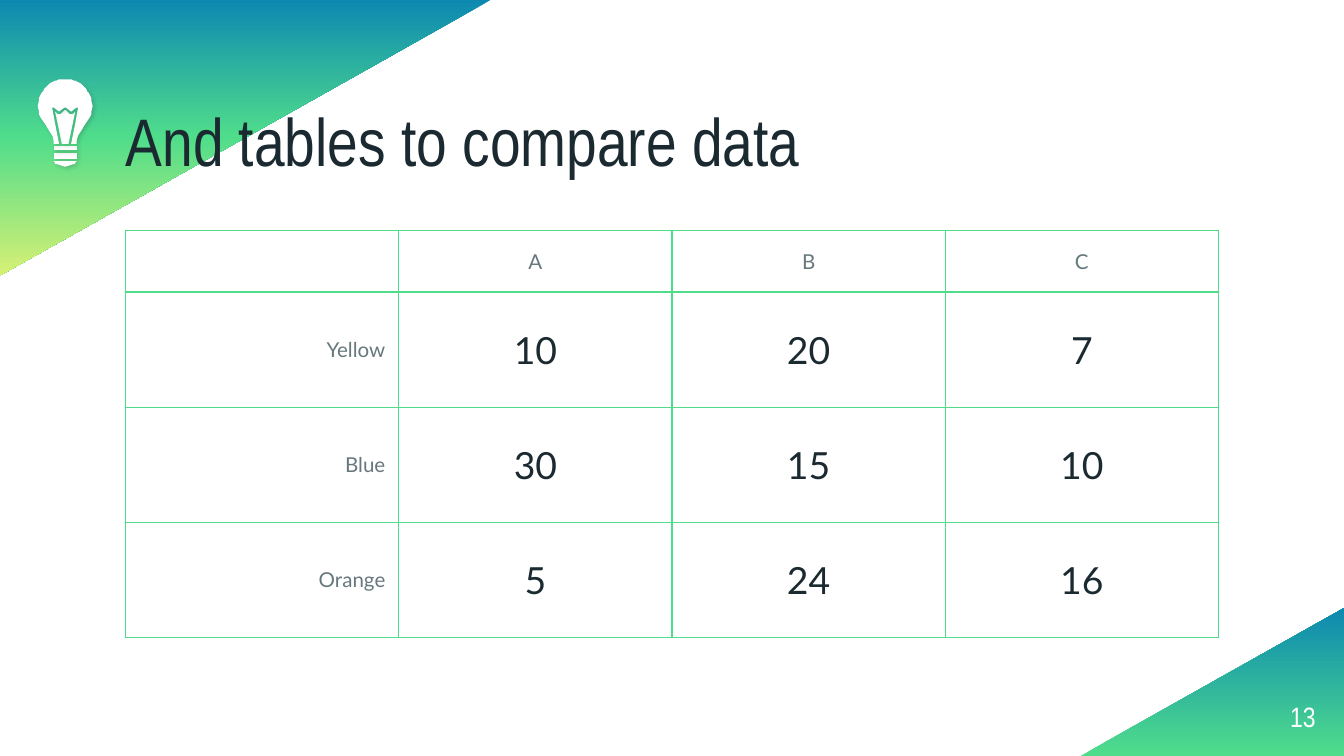
"""Build a slide that compares data in a bordered table between two gradient corners."""
import dataclasses
import typing

import pptx
import pptx.dml.color
import pptx.enum.shapes
import pptx.enum.text
import pptx.oxml
import pptx.oxml.ns
import pptx.util

WIDE = pptx.util.Inches(10)
HIGH = WIDE * 9 // 16
UNIT = WIDE / 100
COLORS = {
    "blue": "0D89B1",
    "green": "50DD8B",
    "lime": "D6F075",
    "ink": "1A2A30",
    "gray": "66787E",
    "white": "FFFFFF",
}
HEAD, BODY = "Arial Narrow", "Lato"
ALIGN = pptx.enum.text.PP_ALIGN
ANCHOR = pptx.enum.text.MSO_ANCHOR
Point = tuple[int, int]


@dataclasses.dataclass
class Box:
    """A place in columns and rows of a grid 100 columns wide."""

    left: float
    top: float
    width: float
    height: float

    def spans(self) -> list[int]:
        return [grid(n) for n in (self.left, self.top, self.width, self.height)]


@dataclasses.dataclass
class Corner:
    """A turned triangle with evenly spaced gradient colours."""

    box: Box
    turn: int
    stops: list[str]


@dataclasses.dataclass
class Style:
    """The look of a paragraph."""

    face: str
    size: int
    color: str
    align: ALIGN


TITLE = Style(HEAD, 36, "ink", ALIGN.LEFT)
NUMBER = Style(HEAD, 15, "white", ALIGN.RIGHT)
TOP = Style(BODY, 11, "gray", ALIGN.CENTER)
SIDE = Style(BODY, 11, "gray", ALIGN.RIGHT)
VALUE = Style(BODY, 20, "ink", ALIGN.CENTER)

CORNERS = [
    Corner(Box(8, -8, 20.5, 36.5), 90, ["blue", "green", "lime"]),
    Corner(Box(84.7, 40.95, 11, 19.6), 270, ["green", "blue"]),
]
DATA = [
    ["", "A", "B", "C"],
    ["Yellow", "10", "20", "7"],
    ["Blue", "30", "15", "10"],
    ["Orange", "5", "24", "16"],
]
ROWS = [4.6, 8.57, 8.57, 8.57]
COLUMN = 20.33

AXIS = 97
BULB: list[list[Point]] = [
    [(40, 114), (40, 118)],
    [(40, 109), (40, 112)],
    [(40, 120), (41, 121), (41, 122), (42, 122), (48, 124)],
    [(48, 82), (45, 85), (43, 85), (41, 83), (46, 107)],
    [(48, 59), (46, 59), (44, 59), (42, 60), (41, 60), (39, 61), (37, 62),
     (36, 63), (34, 65), (33, 66), (32, 68), (31, 69), (30, 71), (29, 73),
     (29, 75), (28, 79), (29, 83), (29, 85), (30, 87), (32, 90), (34, 93),
     (37, 98), (39, 101), (40, 105), (40, 107), (44, 107), (41, 92), (39, 81),
     (39, 80), (40, 80), (44, 83), (48, 80)],
]


def grid(count: float) -> int:
    """Turn grid steps into a length."""
    return round(count * UNIT)


def tint(name: str) -> pptx.dml.color.RGBColor:
    """Look up a colour."""
    return pptx.dml.color.RGBColor.from_string(COLORS[name])


def node(text: str) -> typing.Any:
    """Make a drawing element from its markup."""
    head, mark, rest = text.partition(" ")
    return pptx.oxml.parse_xml(f"{head} {pptx.oxml.ns.nsdecls('a')}{mark}{rest}")


def write(frame: typing.Any, text: str, style: Style) -> None:
    """Fill a text frame with one styled paragraph."""
    line = frame.paragraphs[0]
    line.text = text
    line.alignment = style.align
    line.font.name = style.face
    line.font.size = pptx.util.Pt(style.size)
    line.font.color.rgb = tint(style.color)


def trim(frame: typing.Any, anchor: ANCHOR) -> None:
    """Wrap a frame without insets."""
    frame.margin_left = frame.margin_right = 0
    frame.margin_top = frame.margin_bottom = 0
    frame.word_wrap = True
    frame.auto_size = pptx.enum.text.MSO_AUTO_SIZE.NONE
    frame.vertical_anchor = anchor


def draw_corner(slide: typing.Any, corner: Corner) -> None:
    """Draw a gradient triangle."""
    kind = pptx.enum.shapes.MSO_SHAPE.RIGHT_TRIANGLE
    shape = slide.shapes.add_shape(kind, *corner.box.spans())
    shape.rotation = corner.turn
    shape.shadow.inherit = False
    shape.line.fill.background()
    shape.fill.gradient()
    shape.fill.gradient_angle = 0
    stops = shape.element.spPr.find(".//" + pptx.oxml.ns.qn("a:gsLst"))
    stops.clear()
    last = len(corner.stops) - 1
    for spot, name in enumerate(corner.stops):
        stops.append(node(f'<a:gs pos="{100000 * spot // last}">'
                          f'<a:srgbClr val="{COLORS[name]}"/></a:gs>'))


def draw_title(slide: typing.Any, text: str, box: Box) -> None:
    """Place the title in front of the corners."""
    title = slide.shapes.title
    title.left, title.top, title.width, title.height = box.spans()
    trim(title.text_frame, ANCHOR.BOTTOM)
    write(title.text_frame, text, TITLE)
    title.text_frame.paragraphs[0].line_spacing = 0.9
    title.element.getparent().append(title.element)


def draw_cell(cell: typing.Any, text: str, style: Style) -> None:
    """Fill and border a table cell."""
    cell.margin_left = cell.margin_right = grid(1)
    cell.margin_top = cell.margin_bottom = grid(0.7)
    cell.vertical_anchor = ANCHOR.MIDDLE
    props = cell._tc.get_or_add_tcPr()
    for side in "LRTB":
        props.append(node(f'<a:ln{side} w="{pptx.util.Pt(0.75)}"><a:solidFill>'
                          f'<a:srgbClr val="{COLORS["green"]}"/></a:solidFill></a:ln{side}>'))
    cell.fill.background()
    write(cell.text_frame, text, style)


def draw_table(slide: typing.Any, left: float, top: float) -> None:
    """Draw the comparison table."""
    box = Box(left, top, COLUMN * len(DATA[0]), sum(ROWS))
    table = slide.shapes.add_table(len(DATA), len(DATA[0]), *box.spans()).table
    table.first_row = table.horz_banding = False
    for column in table.columns:
        column.width = grid(COLUMN)
    for r, (row, height) in enumerate(zip(DATA, ROWS)):
        table.rows[r].height = grid(height)
        for c, text in enumerate(row):
            style = TOP if r == 0 else SIDE if c == 0 else VALUE
            draw_cell(table.cell(r, c), text, style)


def draw_bulb(slide: typing.Any) -> None:
    """Draw the bulb, mirroring the left half of each part."""
    group = slide.shapes.add_group_shape()
    for half in BULB:
        points = half + [(AXIS - x, y) for x, y in reversed(half)]
        pen = group.shapes.build_freeform(*points[0], scale=UNIT / 10)
        pen.add_line_segments(points[1:], close=True)
        part = pen.convert_to_shape()
        part.fill.solid()
        part.fill.fore_color.rgb = tint("white")
        part.line.fill.background()
        part.shadow.inherit = False
        part.element.spPr.find(pptx.oxml.ns.qn("a:effectLst")).append(node(
            f'<a:outerShdw blurRad="{pptx.util.Pt(2.2)}" dist="{pptx.util.Pt(1.5)}" '
            f'dir="2700000"><a:srgbClr val="{COLORS["ink"]}">'
            '<a:alpha val="20000"/></a:srgbClr></a:outerShdw>'))


def main() -> None:
    """Build and save the slide."""
    deck = pptx.Presentation()
    deck.slide_width, deck.slide_height = WIDE, HIGH
    slide = deck.slides.add_slide(deck.slide_layouts[5])
    for corner in CORNERS:
        draw_corner(slide, corner)
    draw_title(slide, "And tables to compare data", Box(9.35, 9.15, 81.4, 4.3))
    draw_table(slide, 9.35, 17.13)
    number = slide.shapes.add_textbox(*Box(91.9, 51.15, 6, 4.3).spans()).text_frame
    trim(number, ANCHOR.MIDDLE)
    write(number, "13", NUMBER)
    draw_bulb(slide)
    deck.save("out.pptx")


if __name__ == "__main__":
    main()
